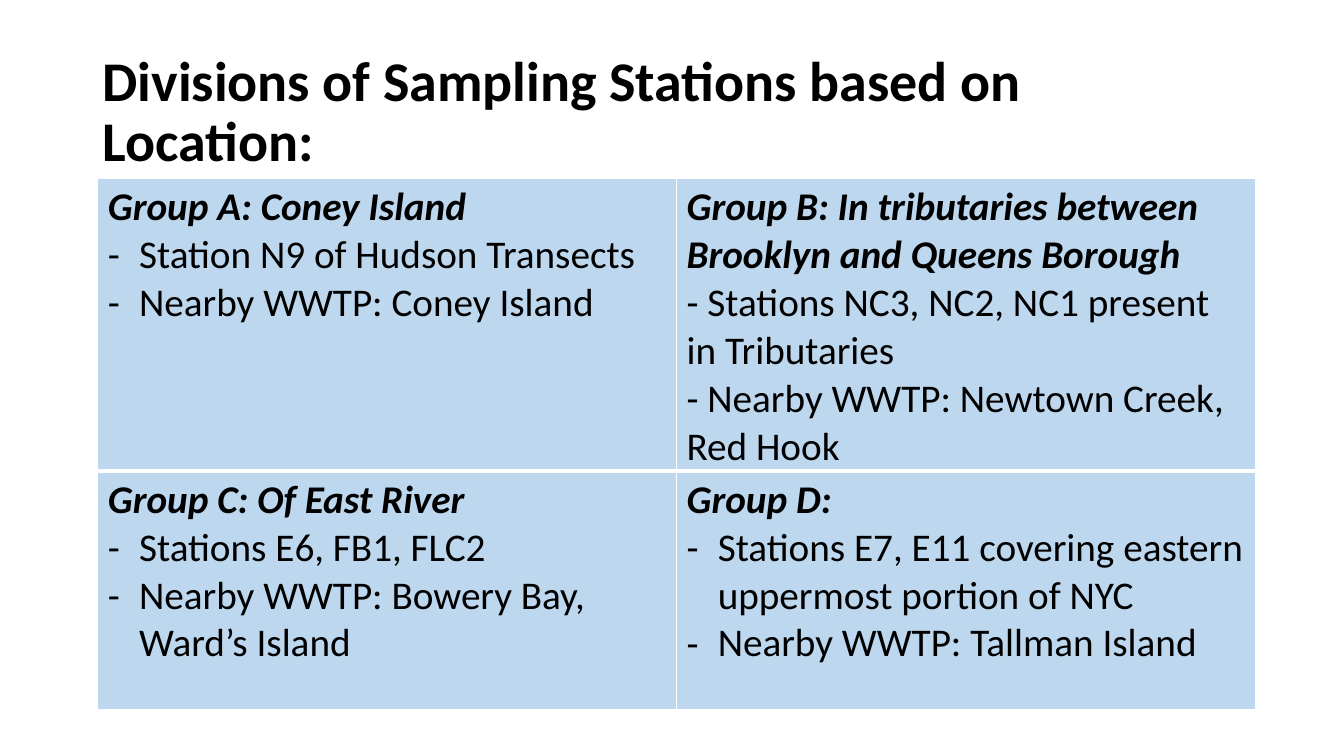
import pptx
import pptx.dml.color
import pptx.enum.text
import pptx.oxml.ns
import pptx.util
from lxml import etree
from pptx.util import Inches

COLOURS = {"text": "000000", "cell": "BDD7EE", "border": "FFFFFF"}
FONT = "Calibri"
HANGING_INDENT = Inches(0.31)
ROW_HEIGHTS = [2.8, 2.37]
COLUMN_WIDTH = 5.74

# Each group: heading, lines, whether the lines are bulleted
GROUPS = [
    [
        ("Group A: Coney Island",
         ["Station N9 of Hudson Transects", "Nearby WWTP: Coney Island"], True),
        ("Group B: In tributaries between Brooklyn and Queens Borough",
         ["- Stations NC3, NC2, NC1 present in Tributaries",
          "- Nearby WWTP: Newtown Creek, Red Hook"], False),
    ],
    [
        ("Group C: Of East River",
         ["Stations E6, FB1, FLC2", "Nearby WWTP: Bowery Bay, Ward’s Island"], True),
        ("Group D:",
         ["Stations E7, E11 covering eastern uppermost portion of NYC",
          "Nearby WWTP: Tallman Island"], True),
    ],
]


def colour(name):
    return pptx.dml.color.RGBColor.from_string(COLOURS[name])


def format_runs(paragraph, size, bold=False, italic=False):
    for run in paragraph.runs:
        run.font.name = FONT
        run.font.size = pptx.util.Pt(size)
        run.font.bold = bold
        run.font.italic = italic
        run.font.color.rgb = colour("text")


def add_dash_bullet(paragraph):
    properties = paragraph._p.get_or_add_pPr()
    properties.set("marL", str(HANGING_INDENT))
    properties.set("indent", str(-HANGING_INDENT))
    bullet_font = etree.SubElement(properties, pptx.oxml.ns.qn("a:buFont"))
    bullet_font.set("typeface", FONT)
    bullet = etree.SubElement(properties, pptx.oxml.ns.qn("a:buChar"))
    bullet.set("char", "-")


def set_borders(cell, widths):
    """Draw the borders; widths maps each side (L, R, T, B) to points."""
    properties = cell._tc.get_or_add_tcPr()
    for position, (side, width) in enumerate(widths.items()):
        line = etree.Element(pptx.oxml.ns.qn(f"a:ln{side}"))
        line.set("w", str(pptx.util.Pt(width)))
        fill = etree.SubElement(line, pptx.oxml.ns.qn("a:solidFill"))
        etree.SubElement(fill, pptx.oxml.ns.qn("a:srgbClr")).set("val", COLOURS["border"])
        properties.insert(position, line)


def add_title(slide, text):
    title = slide.shapes.add_textbox(Inches(0.92), Inches(0.4), Inches(11.4), Inches(1.45))
    frame = title.text_frame
    frame.word_wrap = True
    frame.vertical_anchor = pptx.enum.text.MSO_ANCHOR.MIDDLE
    frame.text = text
    paragraph = frame.paragraphs[0]
    paragraph.line_spacing = 0.9
    format_runs(paragraph, 40, bold=True)


def fill_cell(cell, heading, lines, bulleted):
    cell.fill.solid()
    cell.fill.fore_color.rgb = colour("cell")
    frame = cell.text_frame
    frame.text = "\n".join([heading, *lines])
    heading_paragraph, *line_paragraphs = frame.paragraphs
    format_runs(heading_paragraph, 28, bold=True, italic=True)
    for paragraph in line_paragraphs:
        format_runs(paragraph, 28)
        if bulleted:
            add_dash_bullet(paragraph)


def add_group_table(slide):
    frame = slide.shapes.add_table(
        len(GROUPS), len(GROUPS[0]), Inches(0.97), Inches(1.77),
        Inches(COLUMN_WIDTH * len(GROUPS[0])), Inches(sum(ROW_HEIGHTS)))
    table = frame.table
    table.first_row = False
    table.horz_banding = False
    for column in table.columns:
        column.width = Inches(COLUMN_WIDTH)
    for row_index, groups in enumerate(GROUPS):
        table.rows[row_index].height = Inches(ROW_HEIGHTS[row_index])
        is_first = row_index == 0
        widths = {"L": 1, "R": 1, "T": 1 if is_first else 3, "B": 3 if is_first else 1}
        for column_index, group in enumerate(groups):
            cell = table.cell(row_index, column_index)
            fill_cell(cell, *group)
            set_borders(cell, widths)


def main():
    presentation = pptx.Presentation()
    presentation.slide_width = Inches(13.33)
    presentation.slide_height = Inches(7.5)
    slide = presentation.slides.add_slide(presentation.slide_layouts[6])
    add_title(slide, "Divisions of Sampling Stations based on Location:")
    add_group_table(slide)
    presentation.save("out.pptx")


if __name__ == "__main__":
    main()
